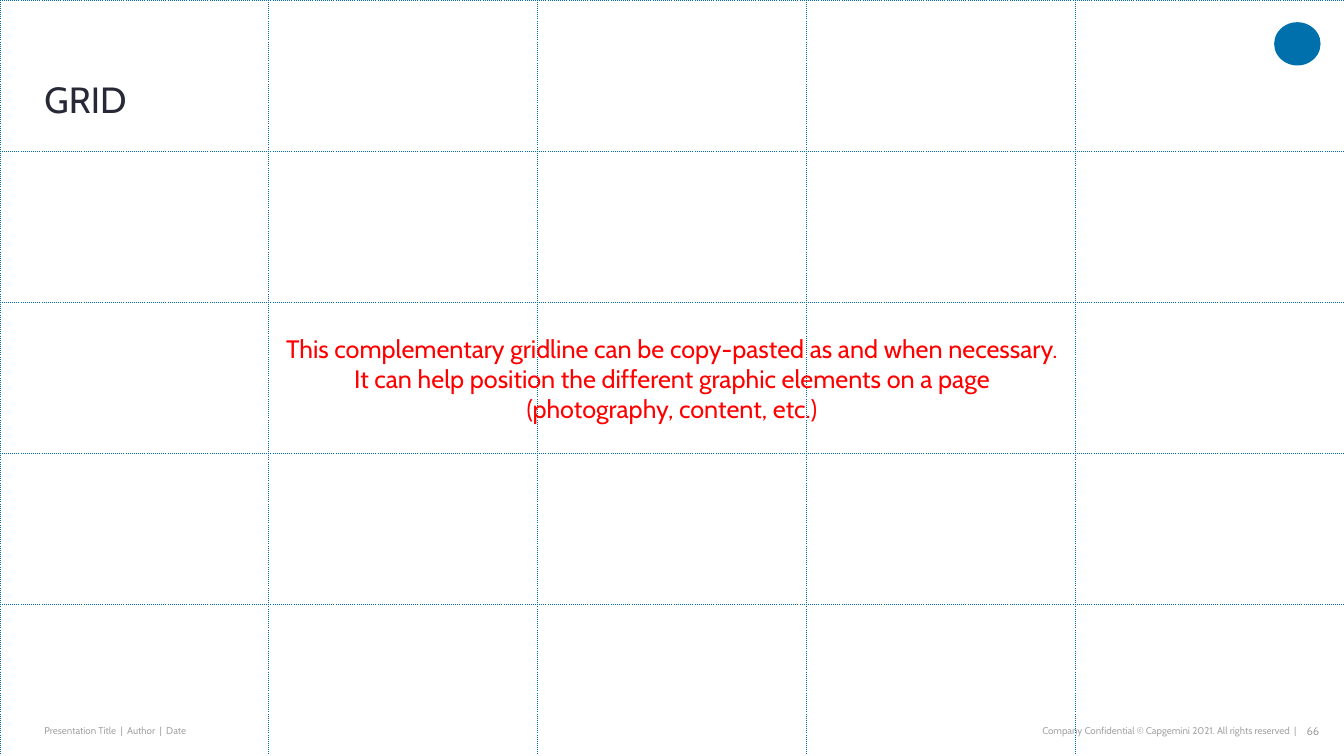
from pptx import Presentation
from pptx.dml.color import RGBColor
from pptx.enum.shapes import MSO_SHAPE
from pptx.enum.text import MSO_ANCHOR, PP_ALIGN
from pptx.oxml import parse_xml
from pptx.oxml.ns import nsdecls
from pptx.util import Cm, Pt

FONT = "Cabin"
COLORS = {"blue": "0070AD", "dark": "272936", "gray": "A6A6A6", "red": "FF0000"}
WIDTH, HEIGHT = Cm(33.87), Cm(19.05)
COUNT = 5


def color(name):
    return RGBColor.from_string(COLORS[name])


def add_text(slide, box, lines, size, tint, align=PP_ALIGN.LEFT,
             anchor=MSO_ANCHOR.MIDDLE, inset=(0, 0), space=None):
    """Add one paragraph per line; inset is (sides, top and bottom) in cm."""
    frame = slide.shapes.add_textbox(*map(Cm, box)).text_frame
    frame.word_wrap = True
    frame.vertical_anchor = anchor
    frame.margin_left = frame.margin_right = Cm(inset[0])
    frame.margin_top = frame.margin_bottom = Cm(inset[1])
    frame.text = "\n".join(lines)
    for para in frame.paragraphs:
        para.alignment = align
        para.line_spacing = space
        para.font.name = FONT
        para.font.size = Pt(size)
        para.font.color.rgb = color(tint)


def set_border(cell):
    """Give all four sides of a cell a dotted line."""
    props = cell._tc.get_or_add_tcPr()
    for side in "LRTB":
        props.append(parse_xml(
            f'<a:ln{side} {nsdecls("a")} w="{Pt(0.75)}">'
            f'<a:solidFill><a:srgbClr val="{COLORS["blue"]}"/></a:solidFill>'
            f'<a:prstDash val="dot"/></a:ln{side}>'))


def add_grid(slide):
    table = slide.shapes.add_table(COUNT, COUNT, 0, 0, WIDTH, HEIGHT).table
    table.first_row = table.horz_banding = False
    for cell in table.iter_cells():
        set_border(cell)
        cell.fill.background()


def add_mark(slide):
    mark = slide.shapes.add_shape(
        MSO_SHAPE.OVAL, Cm(32.11), Cm(0.56), Cm(1.17), Cm(1.09))
    mark.shadow.inherit = False
    mark.fill.solid()
    mark.fill.fore_color.rgb = color("blue")
    mark.line.fill.background()


def add_footer(slide):
    add_text(slide, (1.12, 18.11, 9.47, 0.61),
             ["Presentation Title  |  Author  |  Date"], 7, "gray")
    add_text(slide, (20.07, 18.11, 12.6, 0.61),
             ["Company Confidential © Capgemini 2021. All rights reserved  |"],
             7, "gray", PP_ALIGN.RIGHT)
    add_text(slide, (32.61, 18.11, 0.64, 0.61), ["66"], 8, "gray",
             PP_ALIGN.RIGHT, MSO_ANCHOR.TOP, (0, 0.13))


def main():
    deck = Presentation()
    deck.slide_width, deck.slide_height = WIDTH, HEIGHT
    slide = deck.slides.add_slide(deck.slide_layouts[6])
    add_mark(slide)
    add_footer(slide)
    add_text(slide, (1.12, 1.07, 30.4, 1.98), ["GRID"], 26, "dark",
             anchor=MSO_ANCHOR.BOTTOM, space=0.9)
    add_grid(slide)
    add_text(slide, (3.23, 8.26, 27.41, 2.57), [
        "This complementary gridline can be copy-pasted as and when necessary.",
        "It can help position the different graphic elements on a page",
        "(photography, content, etc.)",
    ], 18, "red", PP_ALIGN.CENTER, MSO_ANCHOR.TOP, (0.25, 0.13))
    deck.save("out.pptx")


if __name__ == "__main__":
    main()
